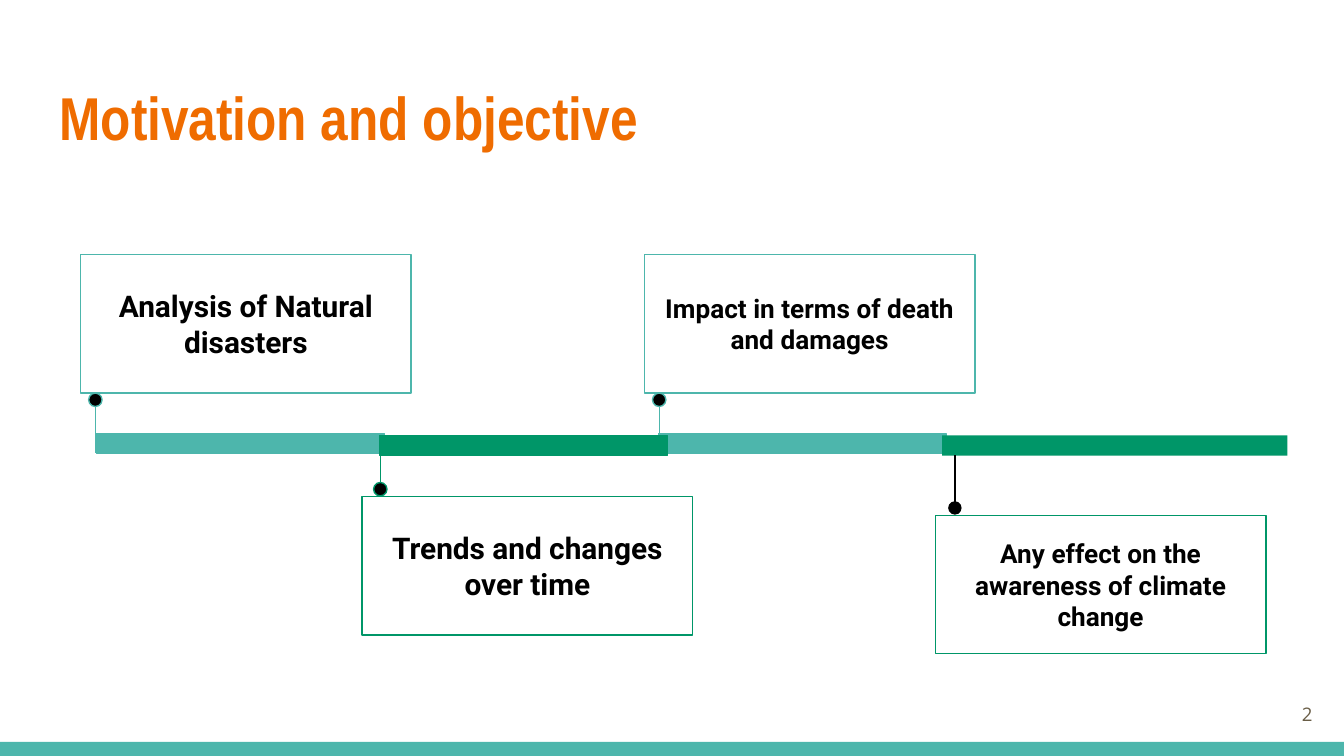
from dataclasses import dataclass
from typing import Optional

from lxml import etree
from pptx import Presentation, util as u
from pptx.dml.color import RGBColor
from pptx.enum import shapes, text
from pptx.oxml.ns import qn

PX = 4572
SLIDE_W, SLIDE_H = 2000, 1125
TEAL, GREEN, BLACK = "4DB6AC", "009668", "000000"
CARD_W, CARD_H, DOT, BAR_H, STEM = 492, 206, 20, 30, 78


@dataclass
class Milestone:
    label: str
    size: int
    color: str
    card_x: int
    card_y: int
    bar_x: int
    bar_y: int
    bar_w: int
    stem_x: int
    above: bool
    accent: Optional[str]


def px(n: int) -> int:
    return u.Emu(n * PX)


def rgb(code: str) -> RGBColor:
    return RGBColor.from_string(code)


def add_shape(s, kind, x: int, y: int, w: int, h: int,
              fill: Optional[str] = None, line: Optional[str] = None):
    sp = s.shapes.add_shape(kind, px(x), px(y), px(w), px(h))
    sp.shadow.inherit = False
    if fill:
        sp.fill.solid()
        sp.fill.fore_color.rgb = rgb(fill)
    else:
        sp.fill.background()
    if line:
        sp.line.color.rgb = rgb(line)
        sp.line.width = u.Pt(0.75)
    else:
        sp.line.fill.background()
    return sp


def add_line(s, x: int, y1: int, y2: int, color: str) -> None:
    cx = s.shapes.add_connector(shapes.MSO_CONNECTOR.STRAIGHT,
                                px(x), px(y1), px(x), px(y2))
    cx.line.color.rgb = rgb(color)
    cx.line.width = u.Pt(0.75)
    etree.SubElement(cx._element.spPr, qn("a:effectLst"))


def write(sp, words: str, *, size: float, font: str, color: str,
          bold: bool = False, align=text.PP_ALIGN.LEFT, after: int = 0) -> None:
    tf = sp.text_frame
    tf.word_wrap = True
    tf.vertical_anchor = text.MSO_ANCHOR.MIDDLE
    tf.margin_left = tf.margin_right = tf.margin_top = tf.margin_bottom = px(20)
    p = tf.paragraphs[0]
    p.alignment = align
    p.space_after = u.Pt(after)
    r = p.add_run()
    r.text = words
    r.font.size = u.Pt(size)
    r.font.name = font
    r.font.bold = bold
    r.font.color.rgb = rgb(color)


def add_text(s, x: int, y: int, w: int, h: int, words: str, **fmt) -> None:
    write(s.shapes.add_textbox(px(x), px(y), px(w), px(h)), words, **fmt)


def add_milestone(s, m: Milestone) -> None:
    rect, oval = shapes.MSO_SHAPE.RECTANGLE, shapes.MSO_SHAPE.OVAL
    add_shape(s, rect, m.bar_x, m.bar_y, m.bar_w, BAR_H, m.color, m.accent)
    if m.above:
        dot_y = m.card_y + CARD_H
        start, end = dot_y + 11, dot_y + 11 + STEM
    else:
        dot_y = m.card_y - DOT - 1
        start, end = dot_y + 9, dot_y + 9 - STEM
    add_line(s, m.stem_x, start, end, m.accent or BLACK)
    add_shape(s, oval, m.stem_x - DOT // 2, dot_y, DOT, DOT, BLACK, m.accent)
    card = add_shape(s, rect, m.card_x, m.card_y, CARD_W, CARD_H, line=m.color)
    write(card, m.label, size=m.size, font="Roboto", color=BLACK, bold=True,
          align=text.PP_ALIGN.CENTER, after=16)


MILESTONES = [
    Milestone("Impact in terms of death and damages", 14, TEAL,
              959, 379, 980, 645, 428, 981, True, TEAL),
    Milestone("Any effect on the awareness of climate change", 14, GREEN,
              1392, 767, 1402, 648, 514, 1421, False, None),
    Milestone("Analysis of Natural disasters", 16, TEAL,
              120, 379, 144, 645, 428, 142, True, TEAL),
    Milestone("Trends and changes over time", 16, GREEN,
              539, 739, 565, 648, 428, 566, False, GREEN),
]


def main() -> None:
    prs = Presentation()
    prs.slide_width, prs.slide_height = px(SLIDE_W), px(SLIDE_H)
    s = prs.slides.add_slide(prs.slide_layouts[6])
    add_shape(s, shapes.MSO_SHAPE.RECTANGLE, 0, 1104, SLIDE_W, 21, TEAL)
    add_text(s, 69, 96, 1864, 154, "Motivation and objective",
             size=32.4, font="Arial Narrow", color="EF6C00", bold=True)
    for m in MILESTONES:
        add_milestone(s, m)
    add_text(s, 1853, 1020, 120, 86, "2", size=10, font="Open Sans",
             color="695D46", align=text.PP_ALIGN.RIGHT)
    prs.save("out.pptx")


if __name__ == "__main__":
    main()
